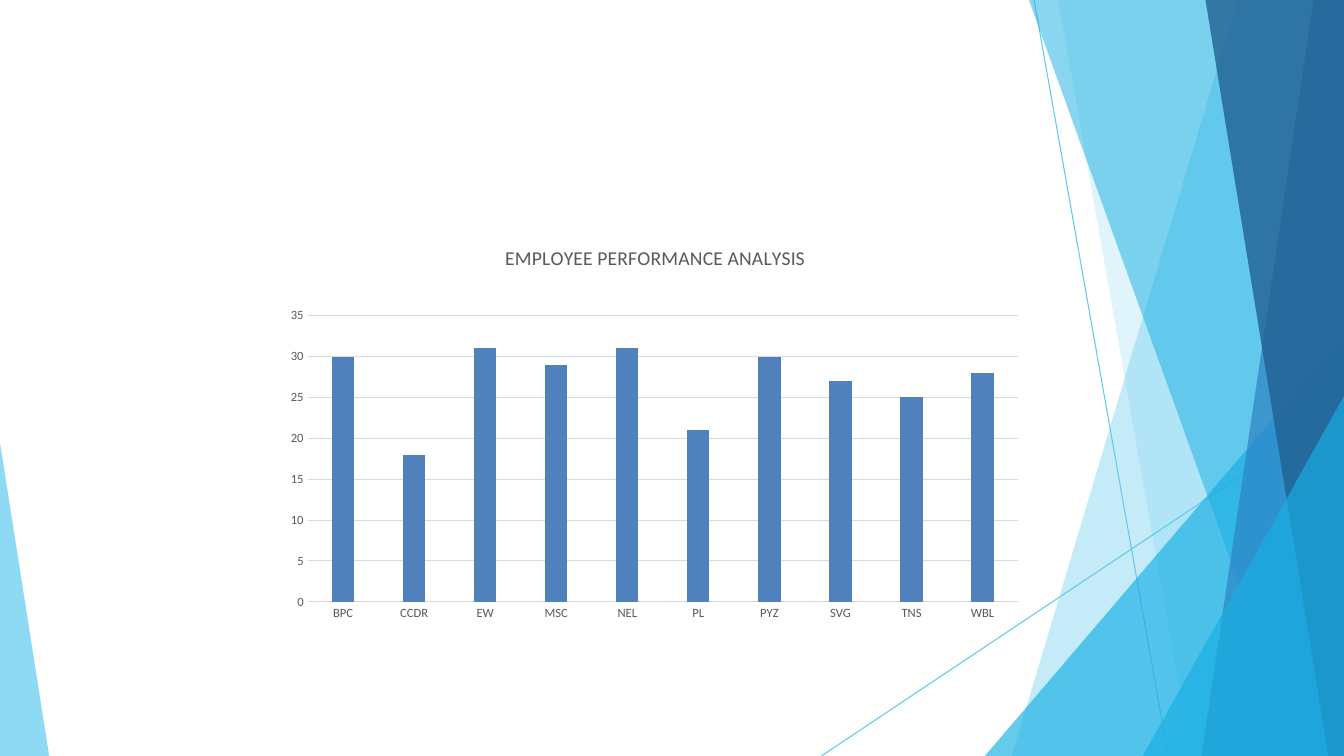
from collections import namedtuple
from dataclasses import dataclass

from lxml import etree
from pptx import Presentation
from pptx.chart.data import CategoryChartData
from pptx.dml.color import RGBColor
from pptx.enum.chart import XL_CHART_TYPE as ChartType, XL_TICK_MARK as TickMark
from pptx.enum.shapes import MSO_CONNECTOR as Connector
from pptx.oxml import parse_xml
from pptx.oxml.ns import nsdecls, qn
from pptx.util import Cm, Pt

Box = namedtuple("Box", "left top width height")


@dataclass(frozen=True)
class Theme:
    font: str = "Calibri"
    sky: str = "5FCAEE"
    cyan: str = "17AFE3"
    blue: str = "2D83C3"
    navy: str = "226192"
    bar: str = "4F81BD"
    text: str = "595959"
    grid: str = "D9D9D9"
    title_size: int = 14
    label_size: int = 9
    hairline: float = 0.75


THEME = Theme()
SLIDE = Box(0, 0, 33.87, 19.05)
CHART = Box(6.99, 5.72, 19.05, 10.16)

PERFORMANCE = {
    "BPC": 30, "CCDR": 18, "EW": 31, "MSC": 29, "NEL": 31,
    "PL": 21, "PYZ": 30, "SVG": 27, "TNS": 25, "WBL": 28,
}


def rgb(color):
    return RGBColor.from_string(color)


def style_line(line, color):
    line.color.rgb = rgb(color)
    line.width = Pt(THEME.hairline)


def add_ray(slide, box, start, end):
    """Thin line between two points of the box."""
    (x1, y1), (x2, y2) = start, end
    ray = slide.shapes.add_connector(
        Connector.STRAIGHT,
        Cm(box.left + x1), Cm(box.top + y1), Cm(box.left + x2), Cm(box.top + y2))
    style_line(ray.line, THEME.sky)
    etree.SubElement(ray._element.spPr, qn("a:effectLst"))


def add_facet(slide, box, corners, color, opacity):
    """Translucent polygon with its corners inside the box."""
    points = [(Cm(box.left + x), Cm(box.top + y)) for x, y in corners]
    outline = slide.shapes.build_freeform(*points[0], scale=1.0)
    outline.add_line_segments(points[1:], close=True)
    facet = outline.convert_to_shape()
    facet.shadow.inherit = False
    facet.line.fill.background()
    facet.fill.solid()
    facet.fill.fore_color.rgb = rgb(color)
    tint = facet._element.spPr.find(".//" + qn("a:srgbClr"))
    etree.SubElement(tint, qn("a:alpha")).set("val", str(opacity * 1000))


def add_backdrop(slide, box):
    right, bottom = box.width, box.height

    # Crossing lines
    add_ray(slide, box, (26.06, 0), (29.44, bottom))
    add_ray(slide, box, (right, 10.26), (20.7, bottom))

    # Facets on the right edge: upper corner, lower x, colour, opacity
    facets = [
        ((31.19, 0), 25.5, THEME.sky, 36),
        ((26.67, 0), 30.02, THEME.sky, 20),
        ((right, 8.46), 24.82, THEME.cyan, 66),
        ((25.93, 0), 32.79, THEME.cyan, 50),
        ((33.1, 0), 30.28, THEME.blue, 70),
        ((30.38, 0), 33.48, THEME.navy, 80),
        ((right, 9.98), 28.8, THEME.cyan, 66),
    ]
    for upper, lower_x, color, opacity in facets:
        corners = [upper, (lower_x, bottom), (right, bottom)]
        if upper[0] < right:
            corners.append((right, 0))
        add_facet(slide, box, corners, color, opacity)

    # Wedge in the lower left corner
    wedge = [(0, 11.15), (0, bottom), (1.24, bottom)]
    add_facet(slide, box, wedge, THEME.sky, 70)


def style_labels(axis):
    axis.major_tick_mark = axis.minor_tick_mark = TickMark.NONE
    font = axis.tick_labels.font
    font.name = THEME.font
    font.size = Pt(THEME.label_size)
    font.color.rgb = rgb(THEME.text)


def fix_plot_area(chart, x, y, w, h):
    """Set the inner plot area as fractions of the chart."""
    plot_area = chart._chartSpace.chart.plotArea
    for layout in plot_area.findall(qn("c:layout")):
        plot_area.remove(layout)
    sizes = "".join(f'<c:{tag} val="{value}"/>'
                    for tag, value in zip("xywh", (x, y, w, h)))
    plot_area.insert(0, parse_xml(
        f'<c:layout {nsdecls("c")}><c:manualLayout><c:layoutTarget val="inner"/>'
        f'<c:xMode val="edge"/><c:yMode val="edge"/>{sizes}'
        '</c:manualLayout></c:layout>'))


def add_performance_chart(slide, box):
    scores = CategoryChartData()
    scores.categories = list(PERFORMANCE)
    scores.add_series("Series 1", list(PERFORMANCE.values()))
    chart = slide.shapes.add_chart(
        ChartType.COLUMN_CLUSTERED, *(Cm(side) for side in box), scores).chart
    chart.font.name = THEME.font
    chart.font.size = Pt(10)
    chart.has_legend = False

    # Title
    chart.has_title = True
    heading = chart.chart_title.text_frame
    heading.text = "EMPLOYEE PERFORMANCE ANALYSIS"
    font = heading.paragraphs[0].font
    font.name = THEME.font
    font.size = Pt(THEME.title_size)
    font.bold = False
    font.color.rgb = rgb(THEME.text)
    chart.chart_title.include_in_layout = False

    # Columns
    columns = chart.plots[0]
    columns.vary_by_categories = False
    columns.gap_width = 219
    columns.overlap = -27
    fill = columns.series[0].format.fill
    fill.solid()
    fill.fore_color.rgb = rgb(THEME.bar)

    # Axes
    style_labels(chart.category_axis)
    style_line(chart.category_axis.format.line, THEME.grid)
    score_axis = chart.value_axis
    style_labels(score_axis)
    score_axis.minimum_scale, score_axis.maximum_scale = 0, 35
    score_axis.major_unit = 5
    score_axis.format.line.fill.background()
    style_line(score_axis.major_gridlines.format.line, THEME.grid)
    fix_plot_area(chart, 0.04, 0.22, 0.94, 0.71)


def main():
    deck = Presentation()
    deck.slide_width, deck.slide_height = Cm(SLIDE.width), Cm(SLIDE.height)
    slide = deck.slides.add_slide(deck.slide_layouts.get_by_name("Blank"))
    add_backdrop(slide, SLIDE)
    add_performance_chart(slide, CHART)
    deck.save("out.pptx")


if __name__ == "__main__":
    main()
